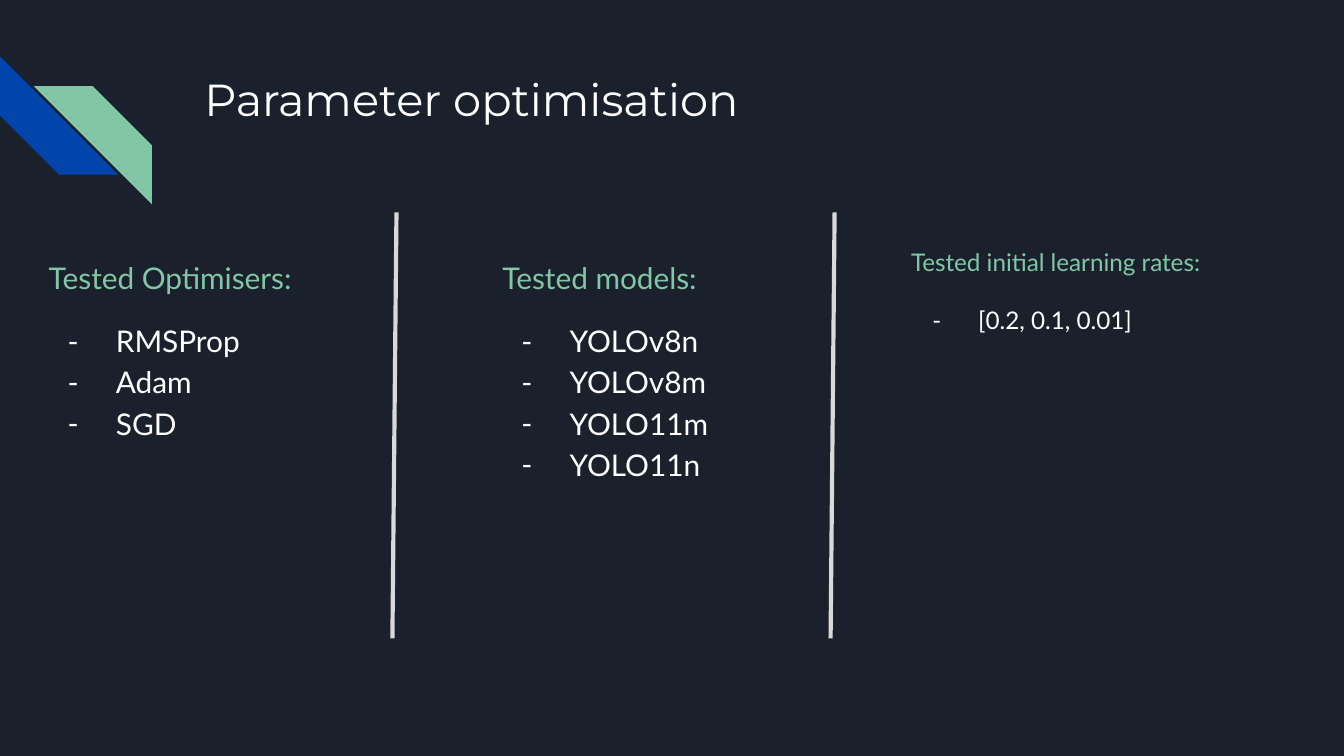
import pptx
import pptx.dml.color
import pptx.enum.shapes
import pptx.enum.text
import pptx.oxml
import pptx.oxml.ns
import pptx.util
import lxml.etree
from dataclasses import dataclass


@dataclass(frozen=True)
class Theme:
    background: str = "1B212C"
    text: str = "FFFFFF"
    accent: str = "82C7A5"
    stripe: str = "0145AC"
    rule: str = "D9D9D9"
    title_font: str = "Montserrat"
    body_font: str = "Lato"
    title_size: int = 24
    body_size: int = 16
    small_size: int = 13
    rule_width: float = 2.25


class Deck:
    width = pptx.util.Inches(10)
    height = width * 9 // 16
    columns = 100

    def __init__(self, theme):
        self.theme = theme
        self.prs = pptx.Presentation()
        self.prs.slide_width = self.width
        self.prs.slide_height = self.height
        self.s = self.prs.slides.add_slide(self.prs.slide_layouts[5])
        self.paint(self.s.background.fill, theme.background)

    def grid(self, *cells):
        return [pptx.util.Emu(round(c * self.width / self.columns)) for c in cells]

    def paint(self, fill, color):
        fill.solid()
        fill.fore_color.rgb = pptx.dml.color.RGBColor.from_string(color)

    def frame(self, sp):
        tf = sp.text_frame
        tf.word_wrap = True
        tf.auto_size = pptx.enum.text.MSO_AUTO_SIZE.NONE
        tf.vertical_anchor = pptx.enum.text.MSO_ANCHOR.TOP
        for side in ("left", "right", "top", "bottom"):
            setattr(tf, f"margin_{side}", pptx.util.Inches(0.1))
        return tf

    def run(self, p, text, size, color, font):
        p.alignment = pptx.enum.text.PP_ALIGN.LEFT
        r = p.add_run()
        r.text = text
        r.font.name = font
        r.font.size = pptx.util.Pt(size)
        r.font.color.rgb = pptx.dml.color.RGBColor.from_string(color)

    def title(self, text, *box):
        sp = self.s.shapes.title
        sp.left, sp.top, sp.width, sp.height = self.grid(*box)
        p = self.frame(sp).paragraphs[0]
        self.run(p, text, self.theme.title_size, self.theme.text, self.theme.title_font)

    def stripe(self, color, *box, rotation=0, mirrored=False):
        shape = pptx.enum.shapes.MSO_SHAPE.DIAGONAL_STRIPE
        sp = self.s.shapes.add_shape(shape, *self.grid(*box))
        sp.shadow.inherit = False
        sp.rotation = rotation
        self.paint(sp.fill, color)
        sp.line.fill.background()
        if mirrored:
            sp.element.spPr.find(pptx.oxml.ns.qn("a:xfrm")).set("flipH", "1")

    def rule(self, *ends):
        kind = pptx.enum.shapes.MSO_CONNECTOR.STRAIGHT
        sp = self.s.shapes.add_connector(kind, *self.grid(*ends))
        self.paint(sp.line.fill, self.theme.rule)
        sp.line.width = pptx.util.Pt(self.theme.rule_width)
        lxml.etree.SubElement(sp.element.spPr, pptx.oxml.ns.qn("a:effectLst"))

    def dash(self, p, indent):
        pPr = p._p.get_or_add_pPr()
        pPr.set("marL", str(pptx.util.Inches(0.5)))
        pPr.set("indent", str(-pptx.util.Inches(indent)))
        color = lxml.etree.SubElement(pPr, pptx.oxml.ns.qn("a:buClr"))
        lxml.etree.SubElement(color, pptx.oxml.ns.qn("a:srgbClr"), val=self.theme.text)
        lxml.etree.SubElement(pPr, pptx.oxml.ns.qn("a:buFont"), typeface=self.theme.body_font)
        lxml.etree.SubElement(pPr, pptx.oxml.ns.qn("a:buChar"), char="-")

    def dash_list(self, heading, items, *box, size, spacing, gap, indent):
        tf = self.frame(self.s.shapes.add_textbox(*self.grid(*box)))
        p = tf.paragraphs[0]
        p.line_spacing = spacing
        self.run(p, heading, size, self.theme.accent, self.theme.body_font)
        for i, item in enumerate(items):
            p = tf.add_paragraph()
            p.line_spacing = spacing
            p.space_before = pptx.util.Pt(0 if i else gap)
            self.dash(p, indent)
            self.run(p, item, size, self.theme.text, self.theme.body_font)


def main():
    theme = Theme()
    deck = Deck(theme)
    deck.stripe(theme.stripe, 0, 4.2, 8.8, 8.8, rotation=270)
    deck.stripe(theme.accent, 2.5, 6.4, 8.8, 8.8, mirrored=True)
    deck.title("Parameter optimisation", 14.2, 4.3, 77, 10)

    large = dict(size=theme.body_size, spacing=1.15, gap=12, indent=0.36)
    small = dict(size=theme.small_size, spacing=1.0, gap=15.6, indent=0.34)
    deck.dash_list("Tested Optimisers:", ["RMSProp", "Adam", "SGD"],
                   2.64, 17.9, 22.8, 31.8, **large)
    deck.dash_list("Tested models:", ["YOLOv8n", "YOLOv8m", "YOLO11m", "YOLO11n"],
                   36.4, 17.9, 22.8, 31.8, **large)
    deck.dash_list("Tested initial learning rates:", ["[0.2, 0.1, 0.01]"],
                   66.8, 17.4, 23.9, 28.6, **small)

    for x in (29.5, 62.1):
        deck.rule(x, 15.8, x - 0.3, 47.5)
    deck.prs.save("out.pptx")


if __name__ == "__main__":
    main()
